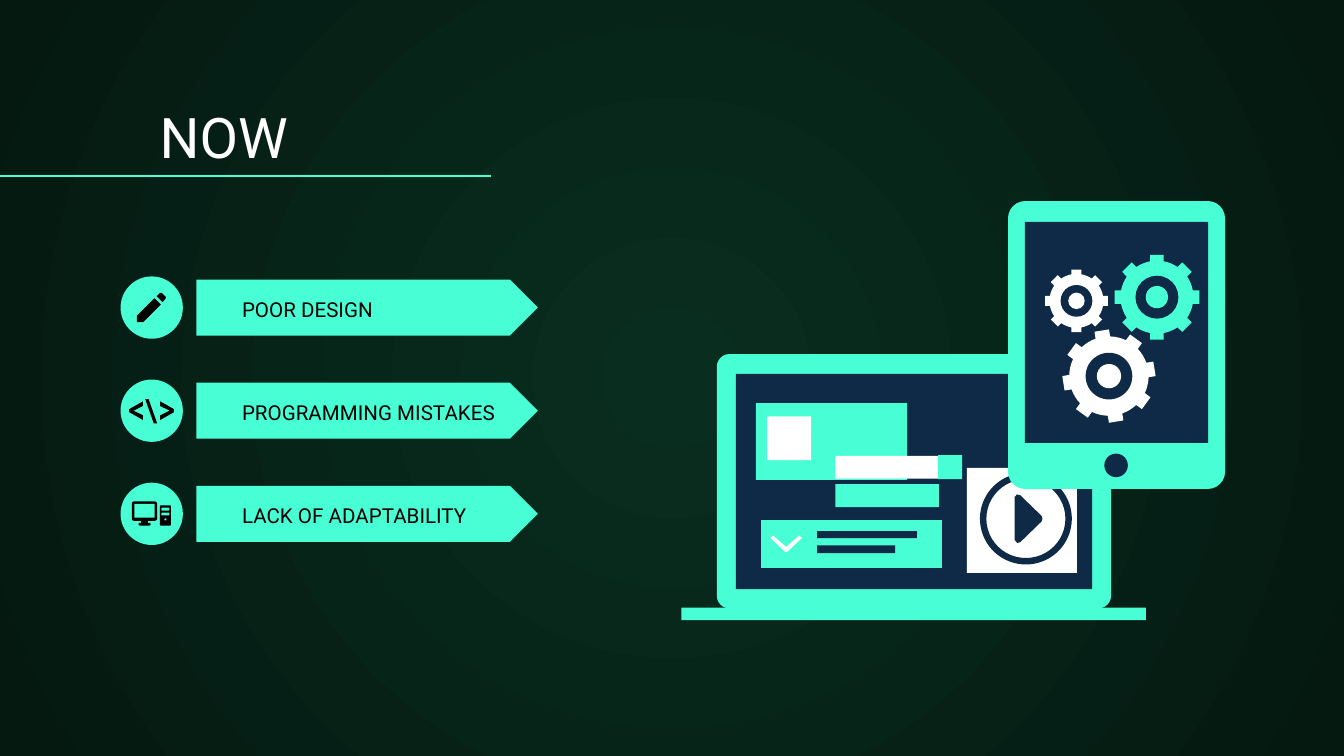
from math import cos, radians, sin

from lxml import etree
from pptx import Presentation
from pptx.dml.color import RGBColor
from pptx.enum.shapes import MSO_CONNECTOR, MSO_SHAPE
from pptx.enum.text import MSO_ANCHOR, MSO_AUTO_SIZE
from pptx.oxml.ns import qn
from pptx.util import Pt

RECT = MSO_SHAPE.RECTANGLE
ROUND = MSO_SHAPE.ROUNDED_RECTANGLE
OVAL = MSO_SHAPE.OVAL
ARROW = MSO_SHAPE.PENTAGON
DONUT = MSO_SHAPE.DONUT
LINE = MSO_CONNECTOR.STRAIGHT
BOTTOM = MSO_ANCHOR.BOTTOM
FIXED = MSO_AUTO_SIZE.NONE

MINT = RGBColor(0x48, 0xFF, 0xD5)
NAVY = RGBColor(0x0E, 0x2A, 0x47)
WHITE = RGBColor(0xFF, 0xFF, 0xFF)
BLACK = RGBColor(0x00, 0x00, 0x00)
GREEN = RGBColor(0x09, 0x2E, 0x20)
DARK = RGBColor(0x05, 0x19, 0x11)

deck = Presentation()
deck.slide_width, deck.slide_height = Pt(720), Pt(405)
slide = deck.slides.add_slide(deck.slide_layouts[6])
shapes = slide.shapes


def block(kind, x, y, w, h, color, adj=None):
    item = shapes.add_shape(kind, Pt(x), Pt(y), Pt(w), Pt(h))
    item.shadow.inherit = False
    item.fill.solid()
    item.fill.fore_color.rgb = color
    item.line.fill.background()
    if adj is not None:
        item.adjustments[0] = adj
    return item


def outline(points, color):
    spots = [(Pt(x), Pt(y)) for x, y in points]
    pen = shapes.build_freeform(*spots[0], scale=1.0)
    pen.add_line_segments(spots[1:], close=True)
    item = pen.convert_to_shape()
    item.shadow.inherit = False
    item.fill.solid()
    item.fill.fore_color.rgb = color
    item.line.fill.background()


back = slide.background.fill
back.gradient()
for stop, color in zip(back.gradient_stops, (GREEN, DARK)):
    stop.color.rgb = color
grad = next(slide._element.iter(qn("a:gradFill")))
grad.remove(grad.find(qn("a:lin")))
ring = etree.SubElement(grad, qn("a:path"), path="circle")
etree.SubElement(ring, qn("a:fillToRect"), l="50000", t="50000", r="50000", b="50000")

labels = [("NOW", 78.5, 50.4, 617, 47.5, 30, WHITE)]
for row, name in enumerate(("POOR DESIGN", "PROGRAMMING MISTAKES", "LACK OF ADAPTABILITY")):
    top = 149.8 + 55.25 * row
    block(ARROW, 105.2, top, 183, 30, MINT, 0.5)
    block(OVAL, 64.6, top - 1.7, 33.4, 33.4, MINT)
    labels.append((name, 122.6, top + 14.4, 163.4, 15.1, 11, BLACK))

for text, x, y, w, h, size, color in labels:
    box = shapes.add_textbox(Pt(x), Pt(y), Pt(w), Pt(h))
    frame = box.text_frame
    frame.word_wrap = True
    frame.auto_size = FIXED
    frame.vertical_anchor = BOTTOM
    frame.margin_left = frame.margin_right = Pt(7.2)
    frame.margin_top = frame.margin_bottom = Pt(7.2)
    para = frame.paragraphs[0]
    para.text = text
    para.font.name = "Roboto"
    para.font.size = Pt(size)
    para.font.color.rgb = color

rule = shapes.add_connector(LINE, 0, Pt(94.3), Pt(263), Pt(94.3))
rule.line.color.rgb = MINT
rule.line.width = Pt(0.75)
etree.SubElement(rule._element.spPr, qn("a:effectLst"))

outline([(82.8, 159.8), (73.4, 169.2), (73.4, 172.6), (76.8, 172.6), (86.2, 163.2)], BLACK)
outline([(83.9, 158.7), (85.8, 156.9), (86.6, 156.9), (88.8, 159.1), (88.8, 159.9),
         (87.1, 161.9)], BLACK)

hook = [(7.4, 10), (0, 5.8), (0, 4.2), (7.4, 0), (7.4, 2.5), (2.3, 5), (7.4, 7.5)]
outline([(69.2 + x, 215 + y) for x, y in hook], BLACK)
outline([(93.2 - x, 215 + y) for x, y in hook], BLACK)
outline([(82.4, 226.8), (77.8, 213.8), (79.6, 213.8), (84.2, 226.8)], BLACK)

for kind, x, y, w, h, color, adj in (
    (ROUND, 70.6, 268.6, 13.6, 10.4, BLACK, 0.12),
    (RECT, 72, 270, 10.8, 7.4, MINT, None),
    (RECT, 75.6, 279, 3.6, 1.6, BLACK, None),
    (ROUND, 74.2, 280.1, 6.5, 1.5, BLACK, 0.5),
    (ROUND, 85.7, 270.7, 5.9, 10.9, BLACK, 0.12),
    (ROUND, 86.5, 272, 4.3, 1.5, MINT, 0.3),
    (ROUND, 86.5, 274.6, 4.3, 1.5, MINT, 0.3),
    (OVAL, 88.1, 277.7, 1.1, 1.1, MINT, None),
    (ROUND, 384, 189.7, 211.2, 136.3, MINT, 0.05),
    (RECT, 394.2, 200.3, 190.9, 115.3, NAVY, None),
    (RECT, 365, 325.6, 249, 6.6, MINT, None),
    (RECT, 405, 216, 81, 41.1, MINT, None),
    (RECT, 411, 223, 23.5, 23.5, WHITE, None),
    (RECT, 407.8, 278.6, 96.8, 25.7, MINT, None),
    (RECT, 437.7, 284.5, 53.5, 3.8, NAVY, None),
    (RECT, 437.7, 292.2, 41.8, 4.1, NAVY, None),
    (RECT, 447.5, 259.4, 55.5, 12.3, MINT, None),
    (RECT, 447.5, 244.3, 55.5, 12.2, WHITE, None),
    (RECT, 502.6, 243.9, 12.8, 12.8, MINT, None),
    (RECT, 518, 250.7, 59, 56.3, WHITE, None),
    (DONUT, 525, 253.4, 49.2, 49, NAVY, 0.07),
    (ROUND, 540, 107.7, 116.3, 154.3, MINT, 0.08),
    (RECT, 549, 118.9, 98.2, 118.4, NAVY, None),
    (OVAL, 591.6, 243, 12.6, 12.6, NAVY, None),
):
    block(kind, x, y, w, h, color, adj)

outline([(412.7, 288.2), (414.2, 286.9), (421.2, 293), (428.2, 286.9), (429.7, 288.2),
         (421.8, 295.6), (420.6, 295.6)], WHITE)
outline([(543.6, 266.3), (544.8, 264.9), (546.6, 265.3), (558, 276.4), (558.5, 277.9),
         (558, 279.4), (546.6, 290.5), (545, 290.9), (543.6, 289.3)], NAVY)

tooth = ((-10.7, 0.85), (-9, 1), (9, 1), (10.7, 0.85), (16.6, 0.85), (22.5, 0.85), (28.4, 0.85))
for x, y, size, tilt, color in (
    (619.8, 159.2, 23, 0, MINT),
    (576.7, 161.2, 17, 0, WHITE),
    (594.1, 201.5, 25, -9, WHITE),
):
    rim = []
    for step in range(8):
        for turn, reach in tooth:
            angle = radians(45 * step + turn + tilt)
            rim.append((x + size * reach * cos(angle), y + size * reach * sin(angle)))
    outline(rim, color)
    for part, tone in ((0.5, NAVY), (0.26, color)):
        r = size * part
        block(OVAL, x - r, y - r, 2 * r, 2 * r, tone)

deck.save("out.pptx")
